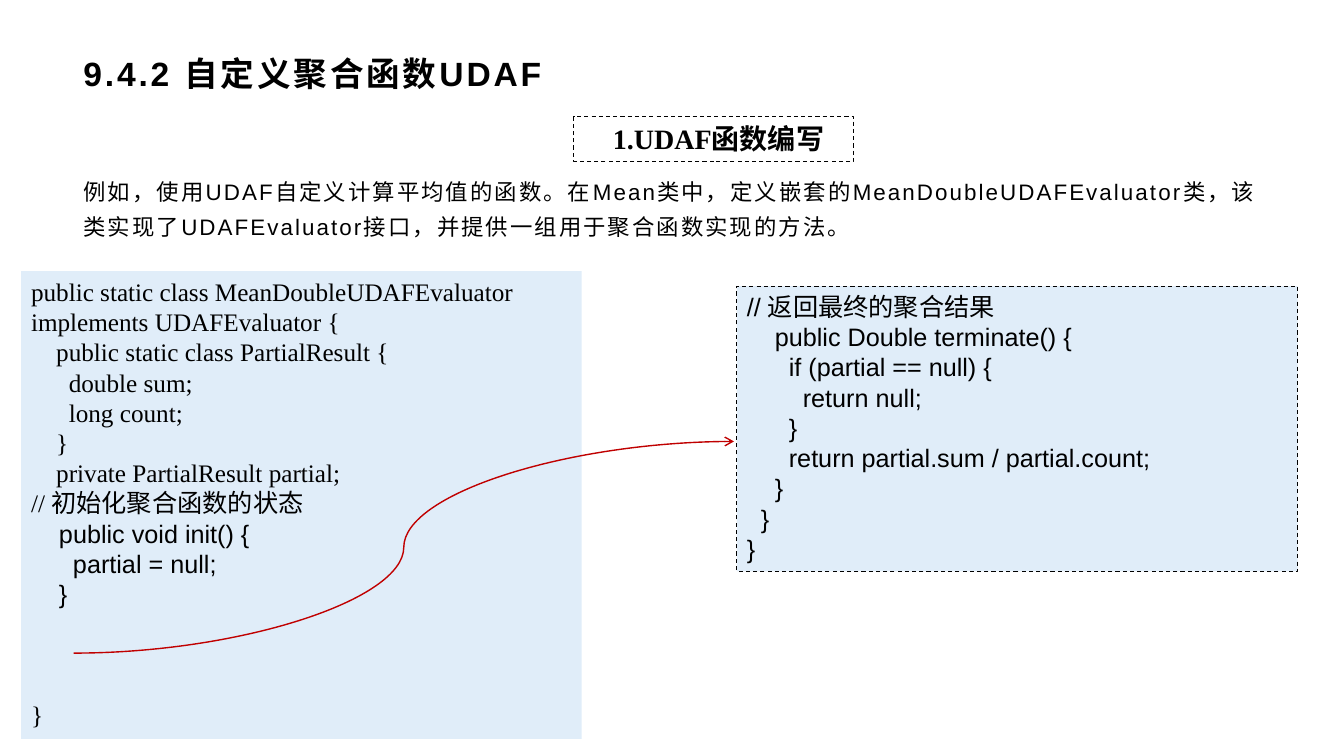
from lxml import etree
from pptx import Presentation
from pptx.dml.color import RGBColor
from pptx.enum.dml import MSO_LINE
from pptx.enum.shapes import MSO_CONNECTOR, MSO_SHAPE
from pptx.enum.text import MSO_ANCHOR, PP_ALIGN
from pptx.oxml.ns import qn
from pptx.util import Inches, Pt

RECTANGLE = MSO_SHAPE.RECTANGLE
CURVE = MSO_CONNECTOR.CURVE
DASH = MSO_LINE.DASH
TOP, MIDDLE = MSO_ANCHOR.TOP, MSO_ANCHOR.MIDDLE
LEFT = PP_ALIGN.LEFT
SANS, SERIF = "Arial", "Times New Roman"
COLORS = {"text": "000000", "panel": "E0EDF9", "arrow": "C00000"}

CLASS_CODE = [
    "public static class MeanDoubleUDAFEvaluator implements UDAFEvaluator {",
    "    public static class PartialResult {",
    "      double sum;",
    "      long count;",
    "    }",
    "    private PartialResult partial;",
    "// 初始化聚合函数的状态",
]
INIT_CODE = [
    "    public void init() {",
    "      partial = null;",
    "    }",
]
TERMINATE_CODE = [
    "// 返回最终的聚合结果",
    "    public Double terminate() {",
    "      if (partial == null) {",
    "        return null;",
    "      }",
    "      return partial.sum / partial.count;",
    "    }",
    "  }",
    "}",
]


def color(name):
    return RGBColor.from_string(COLORS[name])


def add_text(frame, text, size=18, font=SANS, bold=False, spacing=0,
             line_spacing=None, indent=0, space_before=0):
    paragraph = frame.paragraphs[0]
    if paragraph.runs:
        paragraph = frame.add_paragraph()
    paragraph.alignment = LEFT
    if line_spacing:
        paragraph.line_spacing = line_spacing
    if space_before:
        paragraph.space_before = Pt(space_before)
    if indent:
        paragraph._p.get_or_add_pPr().set("indent", str(Inches(indent)))
    run = paragraph.add_run()
    run.text = text
    run.font.size = Pt(size)
    run.font.name = font
    run.font.bold = bold
    run.font.color.rgb = color("text")
    if spacing:
        run.font._element.set("spc", str(int(spacing * 100)))


def add_text_box(slide, box, anchor=TOP):
    frame = slide.shapes.add_textbox(*map(Inches, box)).text_frame
    frame.word_wrap = True
    frame.vertical_anchor = anchor
    return frame


def add_panel(slide, box, fill=None, dashed=False, anchor=TOP):
    shape = slide.shapes.add_shape(RECTANGLE, *map(Inches, box))
    shape.shadow.inherit = False
    if fill:
        shape.fill.solid()
        shape.fill.fore_color.rgb = color(fill)
    else:
        shape.fill.background()
    if dashed:
        shape.line.color.rgb = color("text")
        shape.line.width = Pt(0.75)
        shape.line.dash_style = DASH
    else:
        shape.line.fill.background()
    shape.text_frame.word_wrap = True
    shape.text_frame.vertical_anchor = anchor
    return shape.text_frame


def add_header(slide, box):
    left, top, width, height = box
    title = add_text_box(slide, (left, top, width, 0.48), MIDDLE)
    add_text(title, "9.4.2 自定义聚合函数UDAF", size=24, bold=True, spacing=2)
    body = add_text_box(slide, (left, top + 1.16, width, height - 1.16))
    add_text(body, "例如，使用UDAF自定义计算平均值的函数。在Mean类中，"
             "定义嵌套的MeanDoubleUDAFEvaluator类，该类实现了UDAFEvaluator接口，"
             "并提供一组用于聚合函数实现的方法。",
             size=16, spacing=1.5, line_spacing=1.3)
    heading = add_panel(slide, (left + 4.96, top + 0.68, 2.78, 0.44), dashed=True)
    add_text(heading, "1.UDAF函数编写", size=20, font=SERIF, bold=True, indent=0.29)


def add_class_code(slide, box):
    frame = add_panel(slide, box, fill="panel")
    for line in CLASS_CODE:
        add_text(frame, line, font=SERIF)
    for line in INIT_CODE:
        add_text(frame, line)
    add_text(frame, "}", font=SERIF, space_before=65)


def add_terminate_code(slide, box):
    frame = add_panel(slide, box, fill="panel", dashed=True)
    for line in TERMINATE_CODE:
        add_text(frame, line)


def add_curved_arrow(slide, start, end):
    connector = slide.shapes.add_connector(CURVE, *map(Inches, start + end))
    connector.line.color.rgb = color("arrow")
    connector.line.width = Pt(1)
    etree.SubElement(connector.line._get_or_add_ln(), qn("a:tailEnd"), type="arrow")
    etree.SubElement(connector._element.spPr, qn("a:effectLst"))


def main():
    presentation = Presentation()
    presentation.slide_width = Inches(13.33)
    presentation.slide_height = Inches(7.5)
    slide = presentation.slides.add_slide(presentation.slide_layouts[6])
    add_header(slide, (0.73, 0.48, 11.87, 2.1))
    add_class_code(slide, (0.21, 2.69, 5.56, 4.64))
    add_terminate_code(slide, (7.31, 2.84, 5.56, 2.83))
    add_curved_arrow(slide, (0.73, 6.48), (7.28, 4.38))
    presentation.save("out.pptx")


if __name__ == "__main__":
    main()
